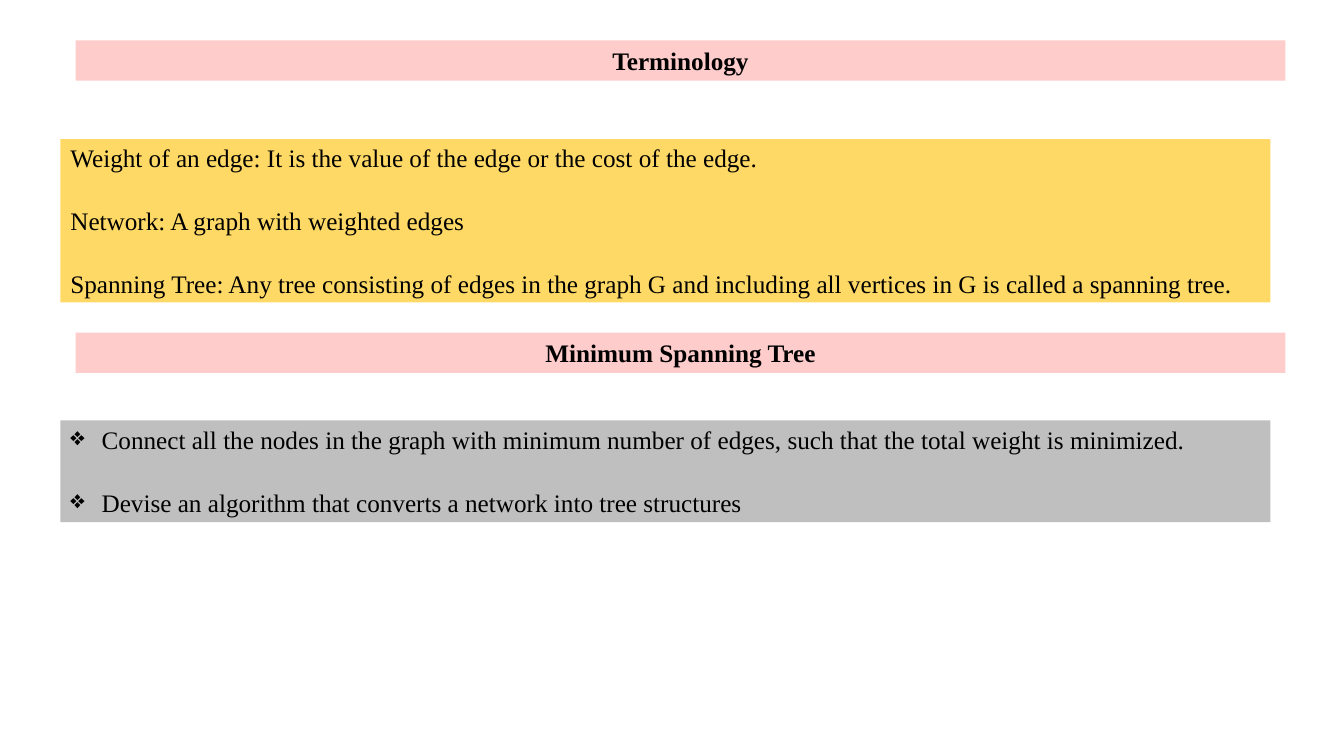
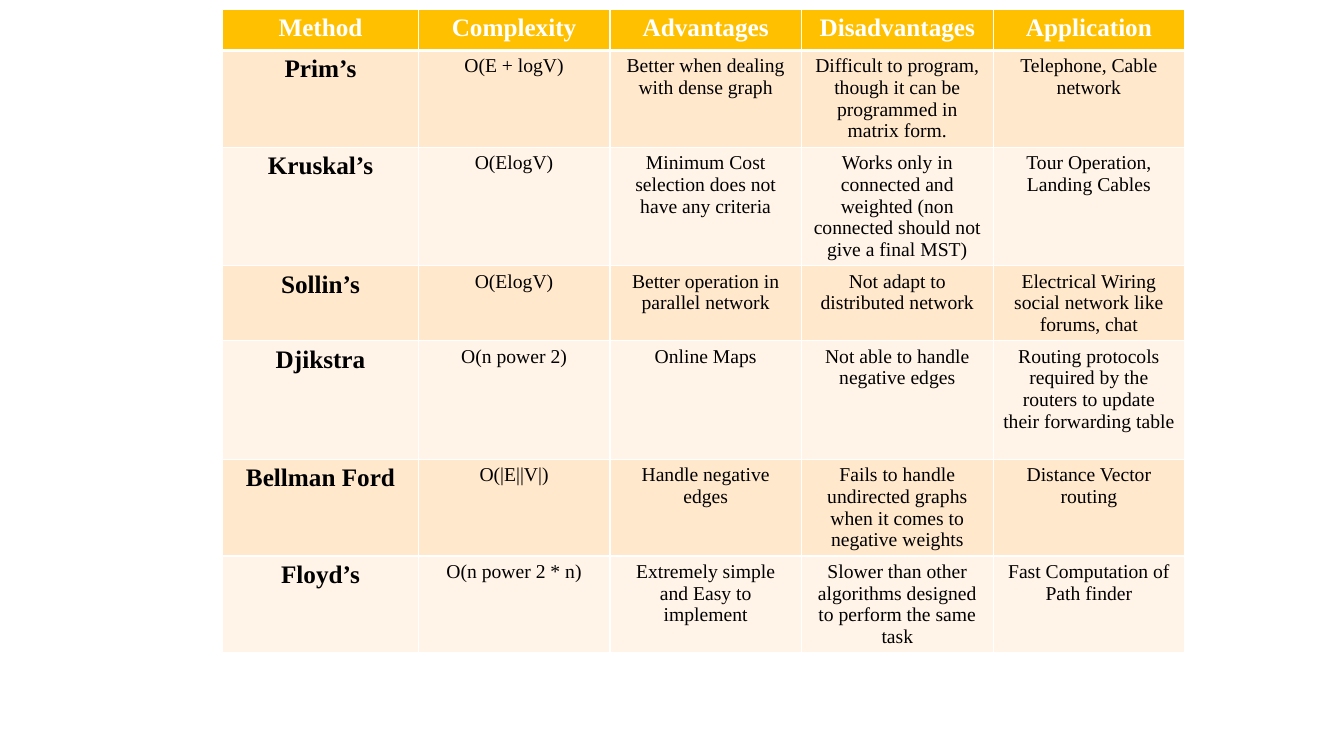
from dataclasses import dataclass
from typing import Any

from lxml import etree
from pptx import Presentation
from pptx import util as u
from pptx.dml.color import RGBColor
from pptx.enum import shapes, text
from pptx.oxml.ns import qn

COLUMN, ROW = 0.15, 0.1  # inches per grid step


@dataclass(frozen=True)
class Theme:
    font: str = "Times New Roman"
    ink: str = "000000"
    white: str = "FFFFFF"
    title_fill: str = "FFCCCC"
    term_fill: str = "FFD966"
    goal_fill: str = "BFBFBF"
    header_fill: str = "FFC000"
    row_fills: tuple[str, str] = ("FFE8CC", "FFF4E7")
    large: int = 18
    small: int = 14
    paragraph_gap: float = 23.3
    bullet: str = "❖"
    bullet_indent: float = 0.31
    thin_border: int = 1
    header_border: int = 3


THEME = Theme()


@dataclass(frozen=True)
class Band:
    """A filled box of text, placed in grid columns and rows."""
    column: float
    row: float
    rows: float
    fill: str
    lines: tuple[str, ...]
    title: bool = False
    bulleted: bool = False
    columns: float = 80


@dataclass(frozen=True)
class Method:
    cells: tuple[str, ...]
    text_lines: int


BANDS = (
    Band(5, 4, 4, THEME.title_fill, ("Terminology",), title=True),
    Band(4, 13.8, 16.2, THEME.term_fill, (
        "Weight of an edge: It is the value of the edge or the cost of the edge.",
        "Network: A graph with weighted edges",
        "Spanning Tree: Any tree consisting of edges in the graph G and including "
        "all vertices in G is called a spanning tree.")),
    Band(5, 33, 4, THEME.title_fill, ("Minimum Spanning Tree",), title=True),
    Band(4, 41.7, 10.1, THEME.goal_fill, (
        "Connect all the nodes in the graph with minimum number of edges, "
        "such that the total weight is minimized.",
        "Devise an algorithm that converts a network into tree structures"),
        bulleted=True),
)

HEADERS = ("Method", "Complexity", "Advantages", "Disadvantages", "Application")
METHODS = (
    Method(("Prim’s", "O(E + logV)", "Better when dealing with dense graph",
            "Difficult to program, though it can be programmed in matrix form.",
            "Telephone, Cable network"), 4),
    Method(("Kruskal’s", "O(ElogV)", "Minimum Cost selection does not have any criteria",
            "Works only in connected and weighted "
            "(non connected should not give a final MST)",
            "Tour Operation, Landing Cables"), 5),
    Method(("Sollin’s", "O(ElogV)", "Better operation in parallel network",
            "Not adapt to distributed network",
            "Electrical Wiring social network like forums, chat"), 3),
    Method(("Djikstra", "O(n power 2)", "Online Maps",
            "Not able to handle negative edges",
            "Routing protocols required by the routers to update their forwarding table"), 5),
    Method(("Bellman Ford", "O(|E||V|)", "Handle negative edges",
            "Fails to handle undirected graphs when it comes to negative weights",
            "Distance Vector routing"), 4),
    Method(("Floyd’s", "O(n power 2 * n)", "Extremely simple and Easy to implement",
            "Slower than other algorithms designed to perform the same task",
            "Fast Computation of Path finder"), 4),
)


def across(columns: float) -> u.Emu:
    return u.Inches(columns * COLUMN)


def down(rows: float) -> u.Emu:
    return u.Inches(rows * ROW)


def write(paragraph: Any, words: str, align: text.PP_ALIGN, size: int = THEME.large,
          bold: bool = False, color: str = THEME.ink) -> None:
    paragraph.alignment = align
    run = paragraph.add_run()
    run.text = words
    formats = {"name": THEME.font, "size": u.Pt(size), "bold": bold}
    for name, value in formats.items():
        setattr(run.font, name, value)
    run.font.color.rgb = RGBColor.from_string(color)


def add_bullet(paragraph: Any) -> None:
    properties = paragraph._p.get_or_add_pPr()
    indent = u.Inches(THEME.bullet_indent)
    properties.set("marL", str(indent))
    properties.set("indent", str(-indent))
    etree.SubElement(properties, qn("a:buChar")).set("char", THEME.bullet)


def add_band(slide: Any, band: Band) -> None:
    shape = slide.shapes.add_shape(
        shapes.MSO_SHAPE.RECTANGLE, across(band.column), down(band.row),
        across(band.columns), down(band.rows))
    shape.shadow.inherit = False
    shape.fill.solid()
    shape.fill.fore_color.rgb = RGBColor.from_string(band.fill)
    shape.line.fill.background()
    frame = shape.text_frame
    frame.word_wrap = True
    frame.vertical_anchor = text.MSO_ANCHOR.MIDDLE
    align = text.PP_ALIGN.CENTER if band.title else text.PP_ALIGN.JUSTIFY
    for index, line in enumerate(band.lines):
        paragraph = frame.add_paragraph() if index else frame.paragraphs[0]
        if index:
            paragraph.space_before = u.Pt(THEME.paragraph_gap)
        if band.bulleted:
            add_bullet(paragraph)
        write(paragraph, line, align, bold=band.title)


def set_borders(cell: Any, top: int, bottom: int) -> None:
    thin = THEME.thin_border
    widths = {"lnL": thin, "lnR": thin, "lnT": top, "lnB": bottom}
    properties = cell._tc.get_or_add_tcPr()
    for index, (side, width) in enumerate(widths.items()):
        line = etree.Element(qn(f"a:{side}"), w=str(u.Pt(width)))
        fill = etree.SubElement(line, qn("a:solidFill"))
        etree.SubElement(fill, qn("a:srgbClr")).set("val", THEME.white)
        properties.insert(index, line)


def fill_cell(cell: Any, words: str, row: int, column: int) -> None:
    header = row == 0
    large = header or column == 0
    thin, thick = THEME.thin_border, THEME.header_border
    set_borders(cell, thick if row == 1 else thin, thick if header else thin)
    cell.fill.solid()
    fill = THEME.header_fill if header else THEME.row_fills[(row - 1) % 2]
    cell.fill.fore_color.rgb = RGBColor.from_string(fill)
    write(cell.text_frame.paragraphs[0], words, text.PP_ALIGN.CENTER,
          size=THEME.large if large else THEME.small, bold=large,
          color=THEME.white if header else THEME.ink)


def add_method_table(slide: Any) -> None:
    widths = [across(12.93)] + [across(12.67)] * (len(HEADERS) - 1)
    heights = [down(4.1)] + [down(1 + 2.15 * method.text_lines) for method in METHODS]
    table = slide.shapes.add_table(
        len(heights), len(widths), across(14.73), down(0.9),
        sum(widths), sum(heights)).table
    table.horz_banding = False
    for column, width in zip(table.columns, widths):
        column.width = width
    for row, height in zip(table.rows, heights):
        row.height = height
    for row, cells in enumerate((HEADERS, *(method.cells for method in METHODS))):
        for column, words in enumerate(cells):
            fill_cell(table.cell(row, column), words, row, column)


def main() -> None:
    presentation = Presentation()
    presentation.slide_width = u.Inches(13.33)
    presentation.slide_height = u.Inches(7.5)
    blank = presentation.slide_layouts[6]
    terminology = presentation.slides.add_slide(blank)
    for band in BANDS:
        add_band(terminology, band)
    add_method_table(presentation.slides.add_slide(blank))
    presentation.save("out.pptx")


if __name__ == "__main__":
    main()
